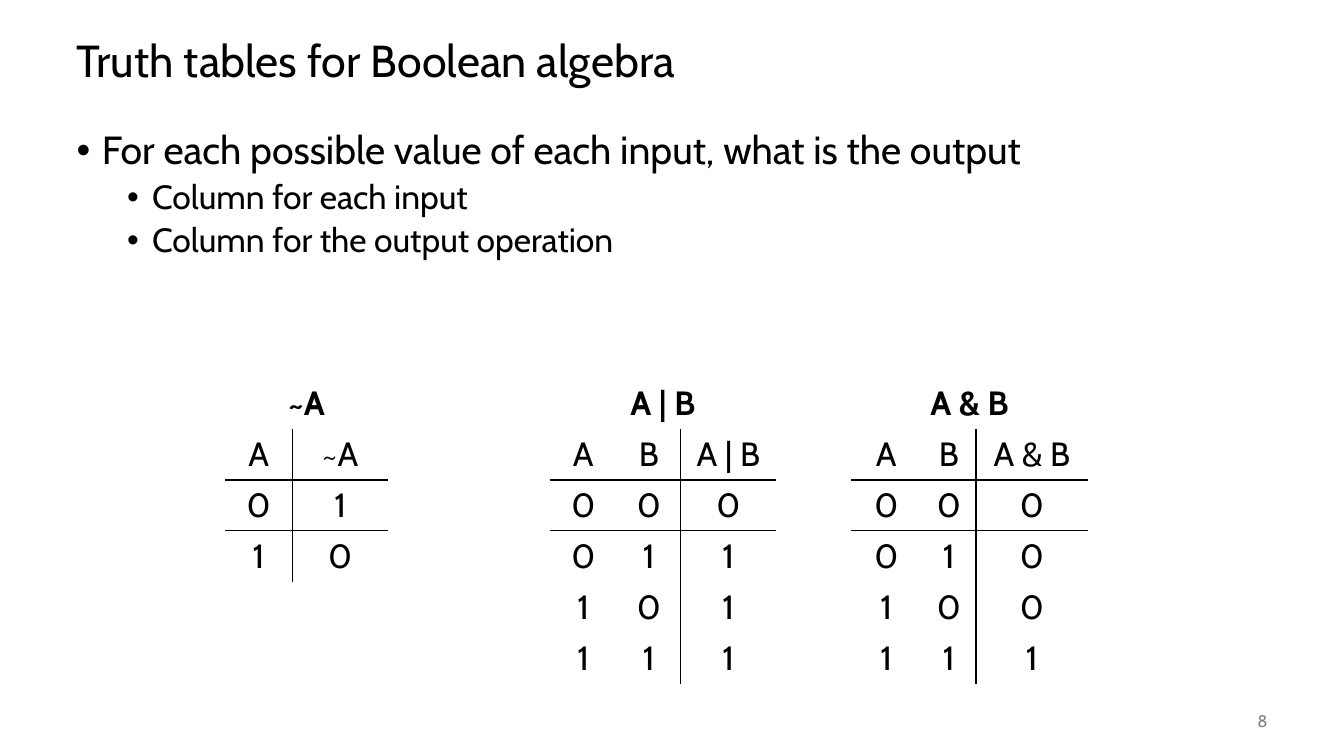
import pptx
import pptx.util
import pptx.dml.color
import pptx.enum.text
import pptx.oxml
import pptx.oxml.ns
from dataclasses import dataclass

Inches, Pt = pptx.util.Inches, pptx.util.Pt
RGB = pptx.dml.color.RGBColor
Align = pptx.enum.text.PP_ALIGN
Anchor = pptx.enum.text.MSO_ANCHOR
Fit = pptx.enum.text.MSO_AUTO_SIZE
NS = pptx.oxml.ns.nsdecls("a")
PLAIN = "{2D5ABB26-0587-4C30-8999-92F81FD0307C}"  # table style without grid


@dataclass
class Theme:
    face: str = "Cabin"
    ink: str = "000000"
    grey: str = "808080"
    title: int = 32
    lead: int = 28
    text: int = 24
    small: int = 12
    rule: int = 1


class Page:
    def __init__(self, deck, theme):
        self.theme = theme
        self.slide = deck.slides.add_slide(deck.slide_layouts[1])

    def style(self, par, size, color=None, bold=False, align=Align.LEFT):
        par.alignment = align
        font = par.font
        font.name, font.size, font.bold = self.theme.face, Pt(size), bold
        font.color.rgb = RGB.from_string(color or self.theme.ink)

    def place(self, shape, box, anchor):
        shape.left, shape.top, shape.width, shape.height = map(Inches, box)
        frame = shape.text_frame
        frame.word_wrap, frame.auto_size = True, Fit.NONE
        frame.vertical_anchor = anchor
        return frame

    def title(self, text, box):
        frame = self.place(self.slide.shapes.title, box, Anchor.MIDDLE)
        frame.text = text
        par = frame.paragraphs[0]
        par.line_spacing = 0.9
        self.style(par, self.theme.title)

    def bullets(self, items, box):
        frame = self.place(self.slide.placeholders[1], box, Anchor.TOP)
        frame.text = "\n".join(text for _, text in items)
        for i, (par, (level, _)) in enumerate(zip(frame.paragraphs, items)):
            par.level = level
            par.line_spacing = 0.9
            par.space_before = Pt(5 if i else 0)
            props = par._p.get_or_add_pPr()
            props.set("marL", str(Inches(0.25 + 0.5 * level)))
            props.set("indent", str(Inches(-0.25)))
            props.append(pptx.oxml.parse_xml(f'<a:buChar {NS} char="•"/>'))
            self.style(par, self.theme.text if level else self.theme.lead)

    def number(self, text, box):
        shape = self.slide.shapes.add_textbox(*map(Inches, box))
        frame = self.place(shape, box, Anchor.MIDDLE)
        frame.text = text
        self.style(frame.paragraphs[0], self.theme.small, self.theme.grey,
                   align=Align.RIGHT)

    def edges(self, cell, sides):
        props = cell._tc.get_or_add_tcPr()
        for side in "LRTB":
            if side in sides:
                props.append(pptx.oxml.parse_xml(
                    f'<a:ln{side} {NS} w="{Pt(self.theme.rule)}"><a:solidFill>'
                    f'<a:srgbClr val="{self.theme.ink}"/></a:solidFill></a:ln{side}>'))

    def truth(self, left, widths, rows):
        """Truth table: merged heading, names, values; output in the last column."""
        count, last = len(rows) + 1, len(widths) - 1
        frame = self.slide.shapes.add_table(
            count, len(widths), Inches(left), Inches(3.75),
            Inches(sum(widths)), Inches(0.5 * count))
        table = frame.table
        table.first_row = table.horz_banding = False
        table._tbl.tblPr.find(pptx.oxml.ns.qn("a:tableStyleId")).text = PLAIN
        for column, width in zip(table.columns, widths):
            column.width = Inches(width)
        for row in table.rows:
            row.height = Inches(0.45)
        frame.height = Inches(0.5 * count)

        # Heading repeats the output's name
        table.cell(0, 0).merge(table.cell(0, last))
        self.fill(table.cell(0, 0), rows[0][-1], bold=True)
        for r, row in enumerate(rows, 1):
            for c, value in enumerate(row):
                sides = {1: "B", 2: "T"}.get(r, "")
                sides += {last - 1: "R", last: "L"}.get(c, "")
                self.fill(table.cell(r, c), value, sides)

    def fill(self, cell, text, sides="", bold=False):
        self.edges(cell, sides)
        cell.fill.background()
        cell.vertical_anchor = Anchor.MIDDLE
        cell.text = text
        self.style(cell.text_frame.paragraphs[0], self.theme.text,
                   bold=bold, align=Align.CENTER)


def main():
    deck = pptx.Presentation()
    deck.slide_width, deck.slide_height = Inches(13.33), Inches(7.5)
    page = Page(deck, Theme())

    # Title and list
    page.title("Truth tables for Boolean algebra", (0.66, 0.25, 12, 0.75))
    page.bullets([
        (0, "For each possible value of each input, what is the output"),
        (1, "Column for each input"),
        (1, "Column for the output operation"),
    ], (0.66, 1.25, 12, 5.5))
    page.number("8", (11.67, 6.95, 1, 0.4))

    # Truth tables
    bits = (0, 1)
    pairs = [(a, b) for a in bits for b in bits]
    page.truth(8.44, (0.7, 0.54, 1.11), [("A", "B", "A & B")] + [
        (str(a), str(b), str(a & b)) for a, b in pairs])
    page.truth(5.45, (0.67, 0.63, 0.95), [("A", "B", "A | B")] + [
        (str(a), str(b), str(a | b)) for a, b in pairs])
    page.truth(2.23, (0.67, 0.95), [("A", "~A")] + [
        (str(a), str(1 - a)) for a in bits])

    deck.save("out.pptx")


if __name__ == "__main__":
    main()
